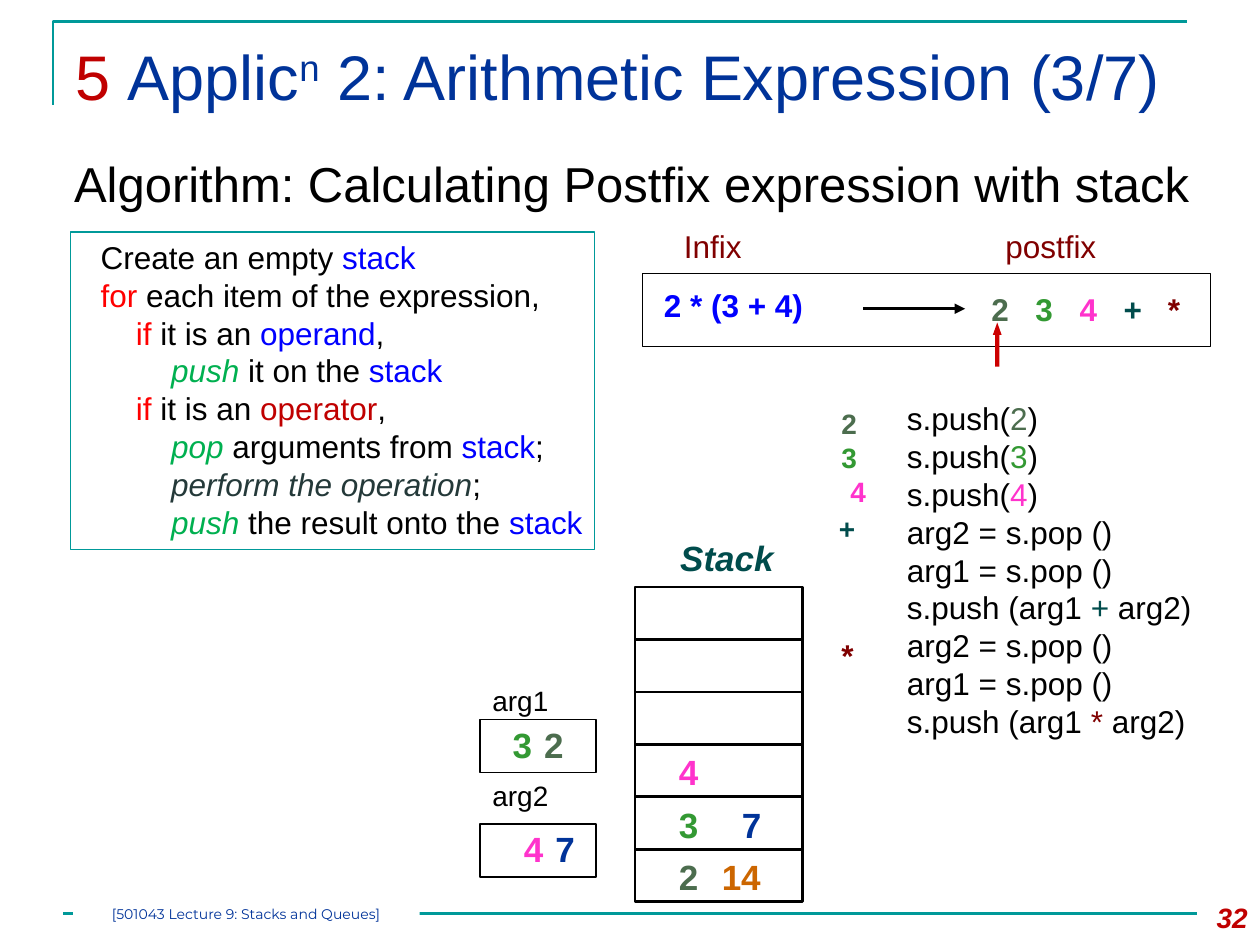
from dataclasses import dataclass
from typing import NamedTuple, Sequence

from lxml.etree import SubElement
from pptx import Presentation
from pptx.dml.color import RGBColor as Color
from pptx.enum.shapes import MSO_CONNECTOR as Connector, MSO_SHAPE as Preset
from pptx.enum.text import MSO_ANCHOR as Anchor, PP_ALIGN as Align
from pptx.oxml.ns import qn
from pptx.util import Inches, Pt


@dataclass(frozen=True)
class Theme:
    font: str = "Arial"
    footer_font: str = "Montserrat"
    white: str = "FFFFFF"
    black: str = "000000"
    teal: str = "009999"
    navy: str = "003399"
    blue: str = "0000FF"
    red: str = "FF0000"
    crimson: str = "C00000"
    arrow: str = "CC0000"
    maroon: str = "800000"
    verb: str = "00B050"
    perform: str = "243939"
    two: str = "4C6D4E"
    three: str = "339933"
    four: str = "FF33CC"
    plus: str = "004C4C"
    fourteen: str = "CC6600"
    title: int = 36
    heading: int = 28
    value: int = 20
    body: int = 18
    label: int = 16
    footer: int = 8
    thick: float = 1.5
    thin: float = 0.75


THEME = Theme()


class Span(NamedTuple):
    text: str
    color: str = THEME.black
    italic: bool = False
    raised: bool = False


class Para(NamedTuple):
    spans: Sequence[Span]
    indent: float = 0
    size: int = 0
    before: float = 0
    tabs: Sequence[float] = ()


class Area(NamedTuple):
    left: float
    top: float
    width: float
    height: float


class Value(NamedTuple):
    text: str
    color: str
    left: float
    top: float


def line_of(text: str, color: str = THEME.black, italic: bool = False) -> Para:
    return Para([Span(text, color, italic)])


def fill_text(box, paras: Sequence[Para], size: int, bold: bool = False,
              align=Align.LEFT, font: str = THEME.font) -> None:
    frame = box.text_frame
    frame.word_wrap = True
    for index, item in enumerate(paras):
        para = frame.paragraphs[0] if index == 0 else frame.add_paragraph()
        para.alignment = align
        para.space_before = Pt(item.before)
        properties = para._p.get_or_add_pPr()
        properties.set("marL", str(Inches(item.indent)))
        if item.tabs:
            stops = SubElement(properties, qn("a:tabLst"))
            for stop in item.tabs:
                SubElement(stops, qn("a:tab"), pos=str(Inches(stop)), algn="l")
        for part in item.spans:
            span = para.add_run()
            span.text = part.text
            span.font.name = font
            span.font.size = Pt(item.size or size)
            span.font.bold = bold
            span.font.italic = part.italic
            span.font.color.rgb = Color.from_string(part.color)
            if part.raised:
                span.font._element.set("baseline", "30000")


def add_text(page, area: Area, paras: Sequence[Para], size: int, bold: bool = False,
             align=Align.LEFT):
    box = page.shapes.add_textbox(*map(Inches, area))
    box.text_frame.vertical_anchor = Anchor.TOP
    fill_text(box, paras, size, bold, align)
    return box


def add_box(page, area: Area, fill: str = "", line: str = "", weight: float = THEME.thin,
            preset=Preset.RECTANGLE):
    box = page.shapes.add_shape(preset, *map(Inches, area))
    box.shadow.inherit = False
    if fill:
        box.fill.solid()
        box.fill.fore_color.rgb = Color.from_string(fill)
    else:
        box.fill.background()
    if line:
        box.line.color.rgb = Color.from_string(line)
        box.line.width = Pt(weight)
    else:
        box.line.fill.background()
    return box


def add_line(page, left: float, right: float, y: float, color: str = THEME.black,
             arrow: bool = False) -> None:
    line = page.shapes.add_connector(
        Connector.STRAIGHT, Inches(left), Inches(y), Inches(right), Inches(y))
    line.line.color.rgb = Color.from_string(color)
    line.line.width = Pt(THEME.thick)
    if arrow:
        SubElement(line.line._get_or_add_ln(), qn("a:tailEnd"), type="triangle")
    SubElement(line._element.spPr, qn("a:effectLst"))


def add_frame(page) -> None:
    builder = page.shapes.build_freeform(Inches(0.42), Inches(0.83))
    builder.add_line_segments(
        [(Inches(0.42), Inches(0.17)), (Inches(9.42), Inches(0.17))], close=False)
    corner = builder.convert_to_shape()
    corner.shadow.inherit = False
    corner.fill.background()
    corner.line.color.rgb = Color.from_string(THEME.teal)
    corner.line.width = Pt(THEME.thick)

    add_line(page, 0.5, 9.5, 7.25, THEME.teal)
    footer = add_box(page, Area(0.58, 7.17, 2.75, 0.17), fill=THEME.white)
    frame = footer.text_frame
    frame.margin_left = frame.margin_right = frame.margin_top = frame.margin_bottom = 0
    fill_text(footer, [line_of("[501043 Lecture 9: Stacks and Queues]", THEME.navy)],
              THEME.footer, align=Align.CENTER, font=THEME.footer_font)
    add_text(page, Area(9.33, 7.1, 0.67, 0.4), [line_of("32", THEME.crimson, True)],
             THEME.label, True, Align.RIGHT)
    add_text(page, Area(0.5, 0.25, 9.33, 0.86), [Para([
        Span("5 ", THEME.crimson), Span("Applic", THEME.navy),
        Span("n", THEME.navy, raised=True),
        Span(" 2: Arithmetic Expression (3/7)", THEME.navy)])], THEME.title)
    add_text(page, Area(0.49, 1.17, 9.26, 0.63),
             [line_of("Algorithm: Calculating Postfix expression with stack")], THEME.heading)


def add_algorithm(page) -> None:
    stack = Span("stack", THEME.blue)
    condition = [Span("if", THEME.red), Span(" it is an ")]
    steps = [
        (0, [Span("Create an empty "), stack]),
        (0, [Span("for", THEME.red), Span(" each item of the expression,")]),
        (1, [*condition, Span("operand", THEME.blue), Span(",")]),
        (2, [Span("push ", THEME.verb, True), Span("it on the "), stack]),
        (1, [*condition, Span("operator", THEME.crimson), Span(",")]),
        (2, [Span("pop", THEME.verb, True), Span(" arguments from "), stack, Span(";")]),
        (2, [Span("perform the operation", THEME.perform, True), Span(";")]),
        (2, [Span("push", THEME.verb, True), Span(" the result onto the "), stack]),
    ]
    box = add_box(page, Area(0.56, 1.84, 4.16, 2.52), line=THEME.teal)
    box.text_frame.vertical_anchor = Anchor.TOP
    box.text_frame.margin_right = 0
    fill_text(box, [Para(spans, 0.14 + 0.28 * level) for level, spans in steps], THEME.body)


def add_expression(page) -> None:
    add_box(page, Area(5.1, 2.17, 4.51, 0.58), line=THEME.black)
    add_text(page, Area(5.33, 1.75, 3.92, 0.4),
             [Para([Span("Infix\tpostfix", THEME.maroon)], tabs=[2.55])], THEME.body)
    add_text(page, Area(5.17, 2.22, 1.82, 0.5), [line_of("2 * (3 + 4)", THEME.blue)],
             THEME.body, True)
    add_line(page, 6.85, 7.66, 2.45, arrow=True)
    tokens = [Span("2\t", THEME.two), Span("3\t", THEME.three), Span("4\t", THEME.four),
              Span("+\t", THEME.plus), Span("*", THEME.maroon)]
    add_text(page, Area(7.77, 2.25, 2.23, 0.4),
             [Para(tokens, tabs=[0.35 * step for step in range(1, len(tokens))])],
             THEME.body, True)
    pointer = add_box(page, Area(7.88, 2.56, 0.07, 0.35), fill=THEME.arrow,
                      preset=Preset.UP_ARROW)
    pointer.adjustments[0], pointer.adjustments[1] = 0.5, 1.41


def add_code(page) -> None:
    add_text(page, Area(5.88, 3.18, 1.21, 2.28), [
        Para([Span("2", THEME.two)], 0.7),
        Para([Span("3", THEME.three)], 0.7),
        Para([Span("4", THEME.four)], 0.77),
        Para([Span("+", THEME.plus)], 0.68, before=2.4),
        Para([Span("*", THEME.maroon)], 0.7, THEME.body, 51.6)], THEME.label, True)
    pushes = [Para([Span("s.push("), Span(text, color), Span(")")]) for text, color in
              (("2", THEME.two), ("3", THEME.three), ("4", THEME.four))]
    operations = []
    for sign, color in (("+", THEME.plus), ("*", THEME.maroon)):
        operations += [line_of("arg2 = s.pop ()"), line_of("arg1 = s.pop ()"),
                       Para([Span("s.push (arg1 "), Span(sign, color), Span(" arg2)")])]
    add_text(page, Area(7.1, 3.12, 2.6, 3.22), pushes + operations, THEME.body)


def add_stack(page) -> None:
    top, pitch, rows = 4.66, 0.416, 6
    add_text(page, Area(5.3, 4.21, 0.98, 0.44), [line_of("Stack", THEME.plus, True)],
             THEME.value, True)
    add_box(page, Area(5.04, top, 1.33, pitch * rows), line=THEME.black, weight=THEME.thick)
    for row in range(1, rows):
        add_line(page, 5.04, 6.38, top + pitch * row)
    for name, label_top, box_top in (("arg1", 5.38, 5.71), ("arg2", 6.13, 6.54)):
        add_box(page, Area(3.81, box_top, 0.92, 0.42), line=THEME.black)
        add_text(page, Area(3.81, label_top, 0.92, 0.37), [line_of(name)], THEME.label)
    for value in (
            Value("4", THEME.four, 5.29, 5.91), Value("3", THEME.three, 5.29, 6.33),
            Value("7", THEME.navy, 5.79, 6.33), Value("2", THEME.two, 5.29, 6.74),
            Value("14", THEME.fourteen, 5.63, 6.74), Value("3", THEME.three, 3.97, 5.69),
            Value("2", THEME.two, 4.22, 5.69), Value("4", THEME.four, 4.06, 6.52),
            Value("7", THEME.navy, 4.31, 6.52)):
        width = 0.2 + 0.16 * len(value.text)
        add_text(page, Area(value.left, value.top, width, 0.43),
                 [line_of(value.text, value.color)], THEME.value, True)


def main() -> None:
    deck = Presentation()
    deck.slide_width, deck.slide_height = Inches(10), Inches(7.5)
    page = deck.slides.add_slide(deck.slide_layouts[6])
    for draw in (add_frame, add_algorithm, add_expression, add_code, add_stack):
        draw(page)
    deck.save("out.pptx")


if __name__ == "__main__":
    main()
